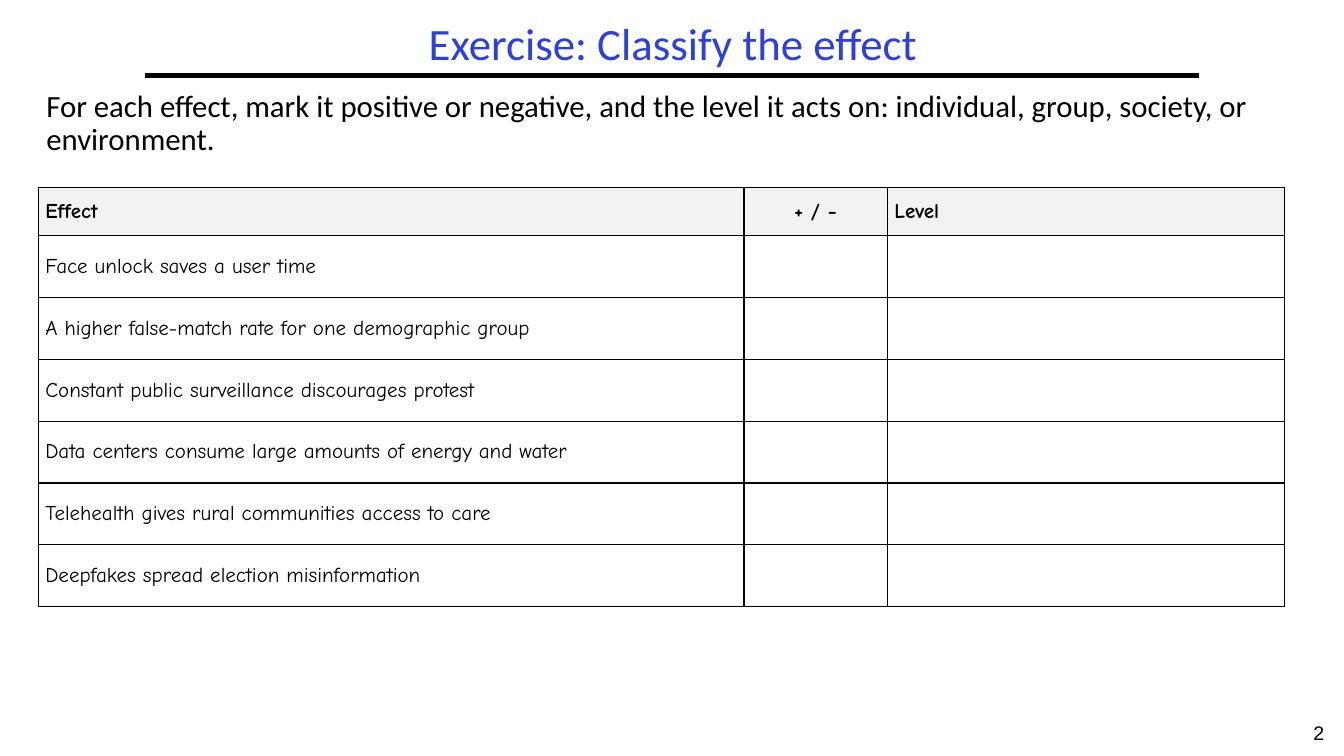
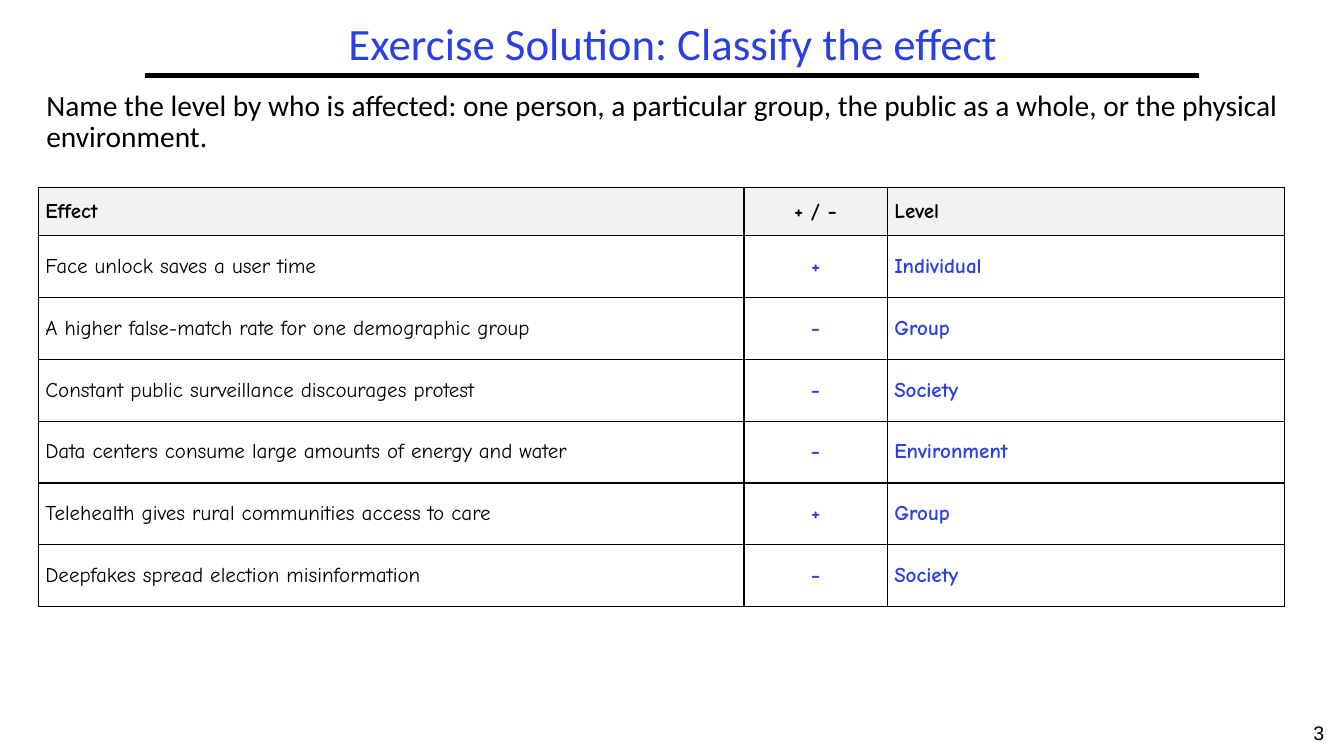
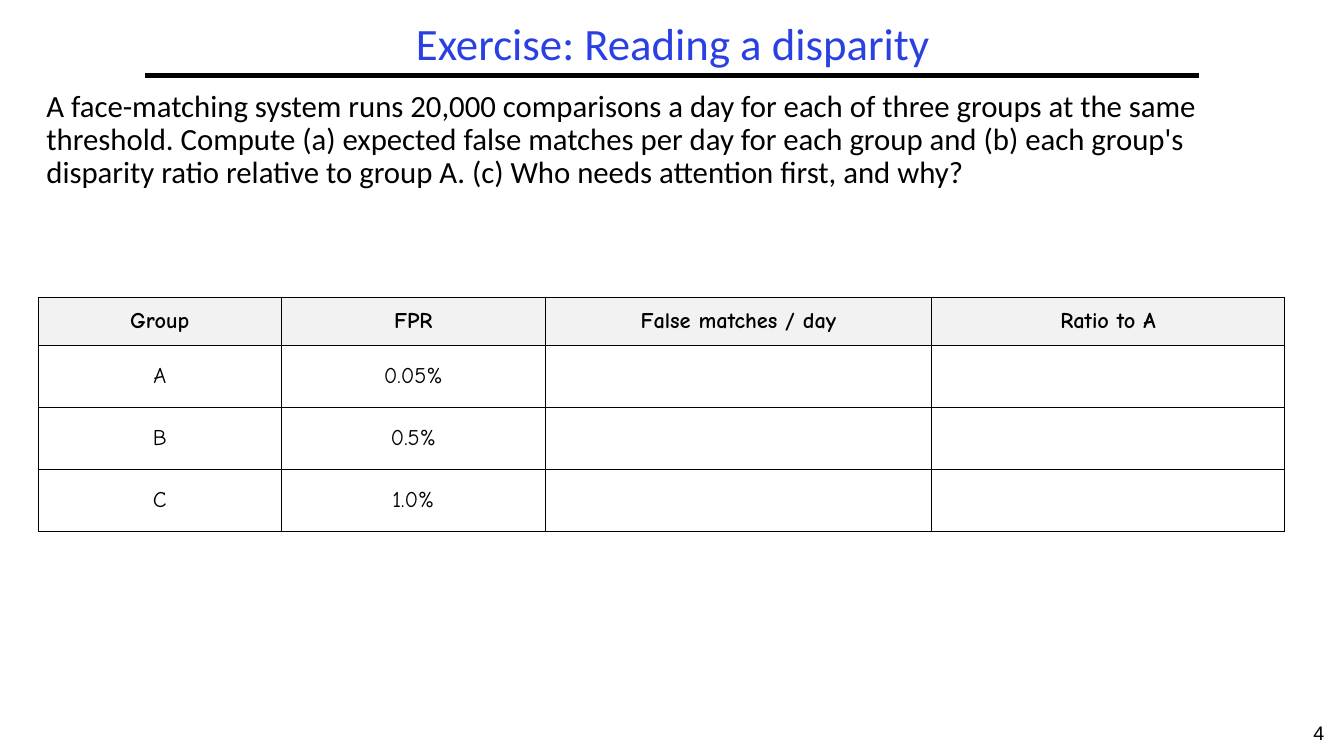
from dataclasses import dataclass
from typing import Any

from lxml.etree import SubElement
from pptx import Presentation
from pptx.dml.color import RGBColor
from pptx.enum.text import MSO_ANCHOR, MSO_AUTO_SIZE, PP_ALIGN
from pptx.oxml.ns import qn
from pptx.slide import Slide
from pptx.util import Inches, Pt


@dataclass(frozen=True)
class Theme:
    accent: RGBColor = RGBColor(0x2A, 0x40, 0xE2)
    ink: RGBColor = RGBColor(0, 0, 0)
    header_fill: RGBColor = RGBColor(0xF2, 0xF2, 0xF2)
    text_font: str = "Calibri"
    table_font: str = "Comic Neue"
    number_font: str = "Arial"
    title_size: int = 32
    number_size: int = 14
    rule_width: int = 3
    border_width: int = 1


@dataclass(frozen=True)
class Column:
    heading: str
    width: float
    alignment: PP_ALIGN = PP_ALIGN.CENTER
    answer: bool = False


@dataclass(frozen=True)
class Exercise:
    title: str
    prompt: str
    prompt_size: int
    table_top: float
    table_size: int
    columns: list[Column]
    rows: list[tuple[str, ...]]


THEME = Theme()
FIRST_NUMBER = 2
PROMPT_TOP = 0.85
TABLE_LEFT = 0.38
HEADER_HEIGHT = 0.48
ROW_HEIGHT = 1.84 / 3

EFFECT_COLUMNS = [
    Column("Effect", 7, PP_ALIGN.LEFT),
    Column("+ / −", 1.42, answer=True),
    Column("Level", 3.94, PP_ALIGN.LEFT, answer=True),
]
EFFECTS = [
    ("Face unlock saves a user time", "+", "Individual"),
    ("A higher false-match rate for one demographic group", "−", "Group"),
    ("Constant public surveillance discourages protest", "−", "Society"),
    ("Data centers consume large amounts of energy and water", "−", "Environment"),
    ("Telehealth gives rural communities access to care", "+", "Group"),
    ("Deepfakes spread election misinformation", "−", "Society"),
]
EXERCISES = [
    Exercise(
        "Exercise: Classify the effect",
        "For each effect, mark it positive or negative, and the level it acts on: "
        "individual, group, society, or environment.",
        22, 1.86, 15, EFFECT_COLUMNS,
        [(effect, "", "") for effect, _, _ in EFFECTS],
    ),
    Exercise(
        "Exercise Solution: Classify the effect",
        "Name the level by who is affected: one person, a particular group, "
        "the public as a whole, or the physical environment.",
        21, 1.86, 15, EFFECT_COLUMNS, EFFECTS,
    ),
    Exercise(
        "Exercise: Reading a disparity",
        "A face-matching system runs 20,000 comparisons a day for each of three groups "
        "at the same threshold. Compute (a) expected false matches per day for each group "
        "and (b) each group's disparity ratio relative to group A. "
        "(c) Who needs attention first, and why?",
        22, 2.95, 16,
        [
            Column("Group", 2.41),
            Column("FPR", 2.62),
            Column("False matches / day", 3.83, answer=True),
            Column("Ratio to A", 3.5, answer=True),
        ],
        [("A", "0.05%", "", ""), ("B", "0.5%", "", ""), ("C", "1.0%", "", "")],
    ),
]


def apply_format(target: Any, values: dict[str, Any]) -> None:
    for name, value in values.items():
        setattr(target, name, value)


def place(shape: Any, left: float, top: float, width: float, height: float) -> None:
    box = {"left": left, "top": top, "width": width, "height": height}
    apply_format(shape, {name: Inches(value) for name, value in box.items()})


def style_font(font: Any, name: str, size: int, color: RGBColor, bold: bool = False) -> None:
    apply_format(font, {"name": name, "size": Pt(size), "bold": bold})
    font.color.rgb = color


def fill_placeholder(shape: Any, text: str, size: int, color: RGBColor,
                     anchor: MSO_ANCHOR, alignment: PP_ALIGN) -> None:
    frame = shape.text_frame
    frame.text = text
    apply_format(frame, {
        "word_wrap": True, "auto_size": MSO_AUTO_SIZE.NONE, "vertical_anchor": anchor,
        "margin_left": Inches(0.1), "margin_right": Inches(0.1),
        "margin_top": Inches(0.05), "margin_bottom": Inches(0.05),
    })
    paragraph = frame.paragraphs[0]
    apply_format(paragraph, {"alignment": alignment, "line_spacing": 0.9, "space_before": Pt(0)})
    properties = paragraph._p.get_or_add_pPr()
    properties.set("marL", "0")
    properties.set("indent", "0")
    SubElement(properties, qn("a:buNone"))
    style_font(paragraph.runs[0].font, THEME.text_font, size, color)


def add_title_rule(slide: Slide) -> None:
    rule = slide.shapes.add_connector(1, Inches(1.44), Inches(0.75), Inches(11.89), Inches(0.75))
    rule.line.color.rgb = THEME.ink
    rule.line.width = Pt(THEME.rule_width)
    SubElement(rule._element.spPr, qn("a:effectLst"))


def add_slide_number(slide: Slide, number: int) -> None:
    box = slide.shapes.add_textbox(Inches(12.83), Inches(7.1), Inches(0.5), Inches(0.4))
    box.text_frame.word_wrap = True
    paragraph = box.text_frame.paragraphs[0]
    paragraph.alignment = PP_ALIGN.CENTER
    run = paragraph.add_run()
    run.text = str(number)
    style_font(run.font, THEME.number_font, THEME.number_size, THEME.ink)
    field = SubElement(paragraph._p, qn("a:fld"), {
        "id": "{B6F15528-21DE-4FAA-801E-634DDDAF4B2B}", "type": "slidenum",
    })
    field.extend(list(run._r))
    paragraph._p.remove(run._r)


def add_borders(cell: Any) -> None:
    properties = cell._tc.get_or_add_tcPr()
    for side in ("a:lnL", "a:lnR", "a:lnT", "a:lnB"):
        line = SubElement(properties, qn(side), {"w": str(Pt(THEME.border_width))})
        fill = SubElement(line, qn("a:solidFill"))
        SubElement(fill, qn("a:srgbClr"), {"val": str(THEME.ink)})


def fill_cell(cell: Any, text: str, column: Column, size: int, header: bool) -> None:
    add_borders(cell)
    if header:
        cell.fill.solid()
        cell.fill.fore_color.rgb = THEME.header_fill
    else:
        cell.fill.background()
    apply_format(cell, {
        "vertical_anchor": MSO_ANCHOR.MIDDLE,
        "margin_left": Inches(0.07), "margin_right": Inches(0.07),
        "margin_top": Inches(0.03), "margin_bottom": Inches(0.03),
    })
    if text:
        cell.text = text
        paragraph = cell.text_frame.paragraphs[0]
        paragraph.alignment = column.alignment
        color = THEME.accent if column.answer and not header else THEME.ink
        style_font(paragraph.runs[0].font, THEME.table_font, size, color, header or column.answer)


def add_exercise_table(slide: Slide, exercise: Exercise) -> None:
    columns = exercise.columns
    rows = [tuple(column.heading for column in columns), *exercise.rows]
    width = sum(column.width for column in columns)
    height = HEADER_HEIGHT + ROW_HEIGHT * len(exercise.rows)
    table = slide.shapes.add_table(
        len(rows), len(columns), Inches(TABLE_LEFT), Inches(exercise.table_top),
        Inches(width), Inches(height),
    ).table
    apply_format(table, {"first_row": False, "horz_banding": False})
    for index, column in enumerate(columns):
        table.columns[index].width = Inches(column.width)
    for row_index, texts in enumerate(rows):
        header = row_index == 0
        table.rows[row_index].height = Inches(HEADER_HEIGHT if header else ROW_HEIGHT)
        for column_index, (column, text) in enumerate(zip(columns, texts)):
            fill_cell(table.cell(row_index, column_index), text, column,
                      exercise.table_size, header)


def add_exercise(presentation: Any, exercise: Exercise, number: int) -> None:
    slide = presentation.slides.add_slide(presentation.slide_layouts[1])
    title, body = slide.shapes.title, slide.placeholders[1]
    place(title, 1.44, 0.17, 10.47, 0.58)
    fill_placeholder(title, exercise.title, THEME.title_size, THEME.accent,
                     MSO_ANCHOR.MIDDLE, PP_ALIGN.CENTER)
    place(body, 0.36, PROMPT_TOP, 12.58, exercise.table_top - PROMPT_TOP)
    fill_placeholder(body, exercise.prompt, exercise.prompt_size, THEME.ink,
                     MSO_ANCHOR.TOP, PP_ALIGN.LEFT)
    add_title_rule(slide)
    add_slide_number(slide, number)
    add_exercise_table(slide, exercise)


def main() -> None:
    presentation = Presentation()
    apply_format(presentation, {"slide_width": Inches(13.33), "slide_height": Inches(7.5)})
    presentation.element.set("firstSlideNum", str(FIRST_NUMBER))
    for number, exercise in enumerate(EXERCISES, FIRST_NUMBER):
        add_exercise(presentation, exercise, number)
    presentation.save("out.pptx")


if __name__ == "__main__":
    main()
